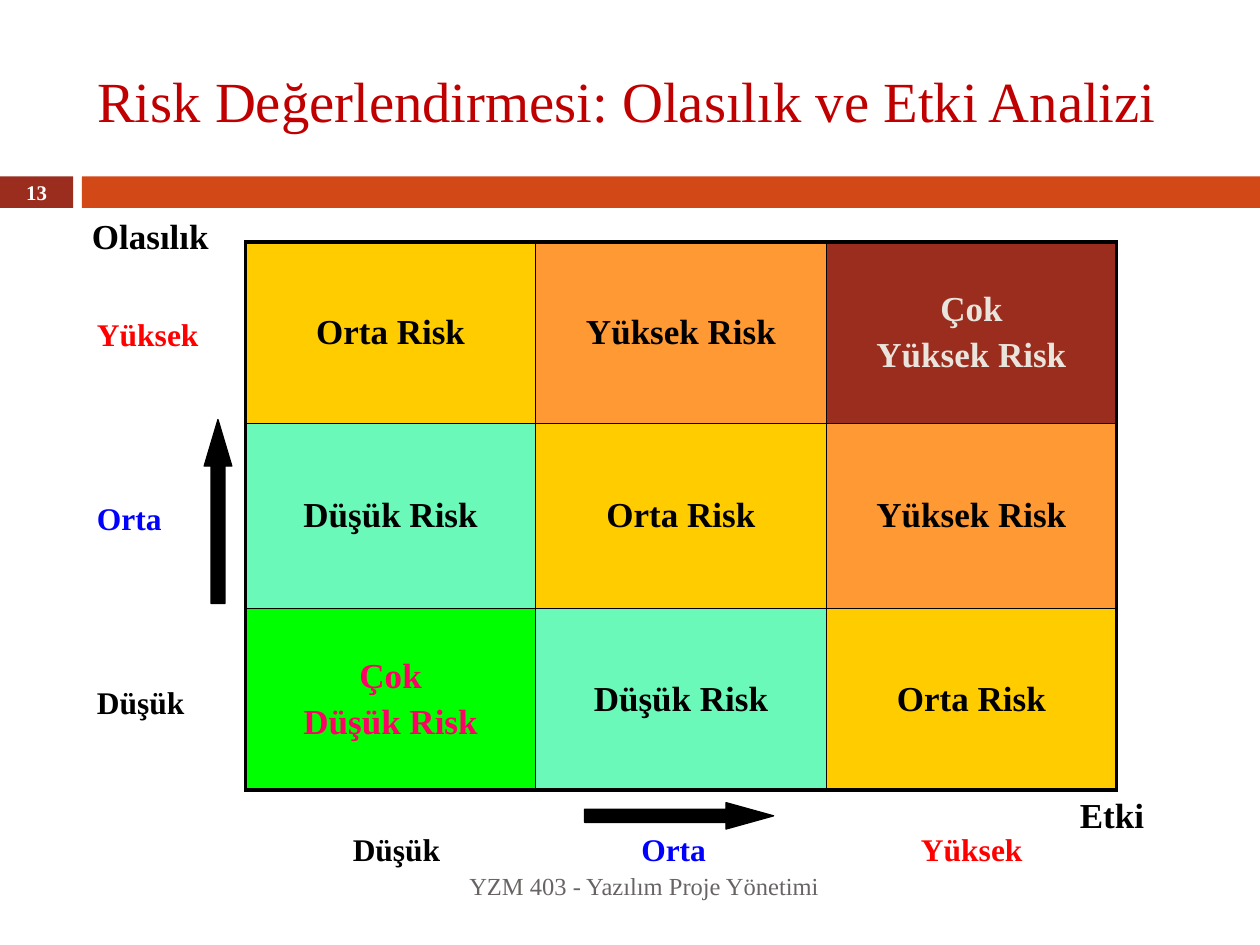
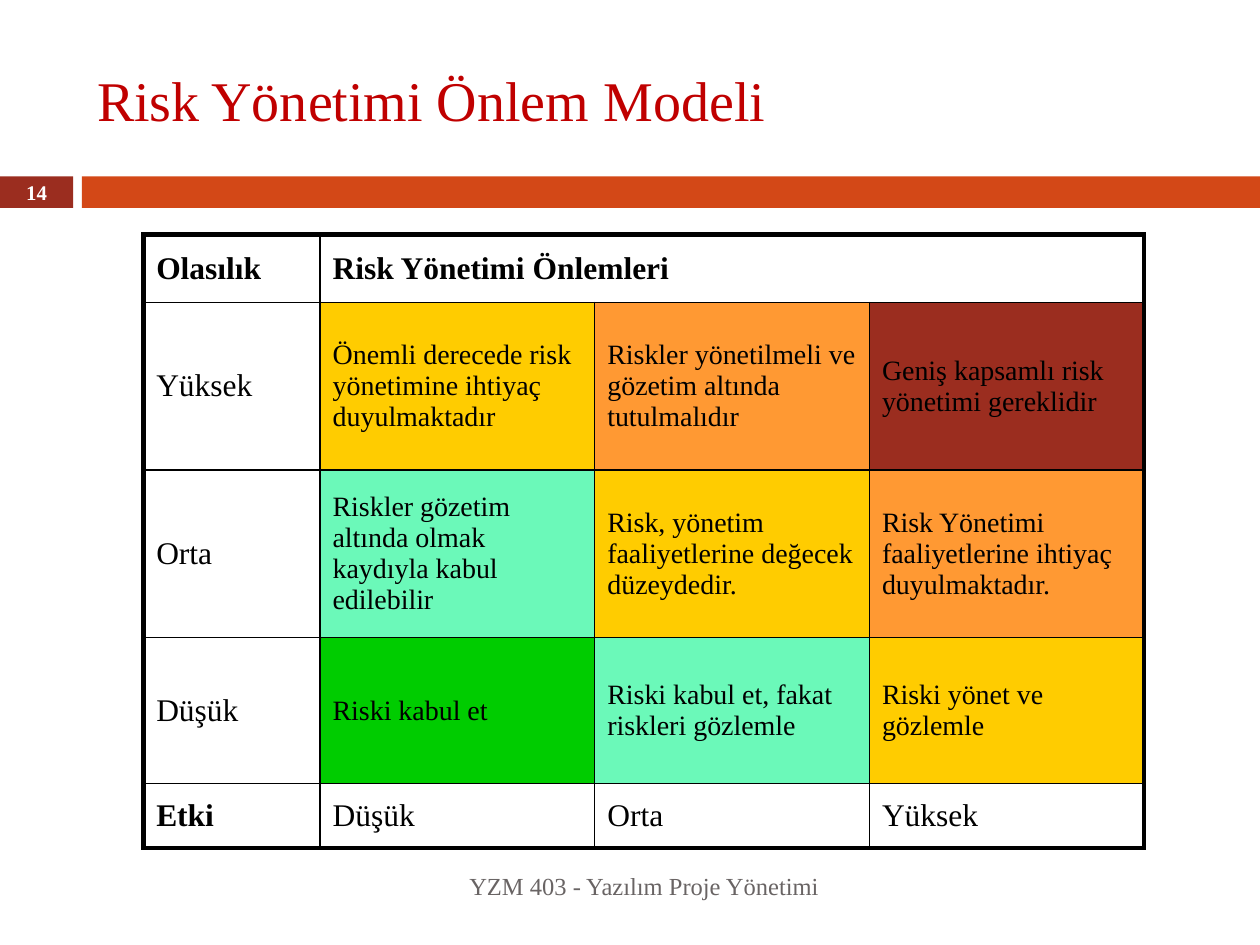
from pptx import Presentation
from pptx.dml.color import RGBColor
from pptx.enum.shapes import MSO_SHAPE as Shape
from pptx.enum.text import MSO_ANCHOR as Anchor, MSO_AUTO_SIZE as Fit, PP_ALIGN as Align
from pptx.oxml.ns import qn
from pptx.util import Inches, Pt
from lxml.etree import SubElement

FONT = "Times New Roman"
COLORS = {
    "title": "C00000", "brick": "9B2D1F", "rust": "D34817", "gray": "696464",
    "black": "000000", "white": "FFFFFF", "red": "FF0000", "blue": "0000FF",
    "gold": "FFCC00", "orange": "FF9933", "mint": "6BF9B9", "lime": "00FF00",
    "green": "00CC00", "cream": "E9E5DC", "pink": "FF0066",
}
SCALE = ["mint", "gold", "orange", "brick"]
LEVELS = [("Yüksek", "red"), ("Orta", "blue"), ("Düşük", "black")]
FOOTER = "YZM 403 - Yazılım Proje Yönetimi"

RISKS = [
    ["Orta Risk", "Yüksek Risk", "Çok\nYüksek Risk"],
    ["Düşük Risk", "Orta Risk", "Yüksek Risk"],
    ["Çok\nDüşük Risk", "Düşük Risk", "Orta Risk"],
]
ACTIONS = [
    ["Önemli derecede risk yönetimine ihtiyaç duyulmaktadır",
     "Riskler yönetilmeli ve gözetim altında tutulmalıdır",
     "Geniş kapsamlı risk yönetimi gereklidir"],
    ["Riskler gözetim altında olmak kaydıyla kabul edilebilir",
     "Risk, yönetim faaliyetlerine değecek düzeydedir.",
     "Risk Yönetimi faaliyetlerine ihtiyaç duyulmaktadır."],
    ["Riski kabul et", "Riski kabul et, fakat riskleri gözlemle",
     "Riski yönet ve gözlemle"],
]


def rgb(name):
    return RGBColor.from_string(COLORS[name])


def write(frame, text, size, color="black", bold=False, align=Align.LEFT, gap=0):
    frame.text = text
    for para in frame.paragraphs:
        para.alignment = align
        para.space_before = Pt(gap)
        font = para.font
        font.name, font.size, font.bold = FONT, Pt(size), bold
        font.color.rgb = rgb(color)


def add_text(slide, box, text, size, color, bold=True, align=Align.LEFT, inset=0.0, anchor=Anchor.TOP):
    frame = slide.shapes.add_textbox(*map(Inches, box)).text_frame
    frame.word_wrap = False
    frame.vertical_anchor = anchor
    frame.margin_left = frame.margin_right = Inches(inset)
    frame.margin_top = frame.margin_bottom = 0
    write(frame, text, size, color, bold, align)


def add_solid(slide, kind, box, color, head=None):
    shape = slide.shapes.add_shape(kind, *map(Inches, box))
    shape.shadow.inherit = False
    shape.fill.solid()
    shape.fill.fore_color.rgb = rgb(color)
    if head:
        shape.adjustments[0], shape.adjustments[1] = 0.5, head
        shape.line.color.rgb = rgb(color)
        shape.line.width = Pt(0.75)
    else:
        shape.line.fill.background()


def add_frame(deck, title, number, size):
    slide = deck.slides.add_slide(deck.slide_layouts[5])
    add_solid(slide, Shape.RECTANGLE, (0, 1.4, 0.58, 0.25), "brick")
    add_solid(slide, Shape.RECTANGLE, (0.65, 1.4, 9.35, 0.25), "rust")
    head = slide.shapes.title
    head.left, head.top, head.width, head.height = map(Inches, (0.67, 0.25, 8.92, 1.08))
    head.text_frame.auto_size = Fit.NONE
    head.text_frame.vertical_anchor = Anchor.MIDDLE
    write(head.text_frame, title, size, "title")
    add_text(slide, (0.67, 6.83, 5.93, 0.4), FOOTER, 14, "gray", False, Align.RIGHT, 0.1, Anchor.MIDDLE)
    add_text(slide, (0, 1.39, 0.58, 0.27), str(number), 11.9, "white", True, Align.CENTER, 0, Anchor.MIDDLE)
    return slide


def add_grid(slide, left, top, cols, rows):
    shape = slide.shapes.add_table(
        len(rows), len(cols), *map(Inches, (left, top, sum(cols), sum(rows))))
    table = shape.table
    table.first_row = table.horz_banding = False
    for col, width in zip(table.columns, cols):
        col.width = Inches(width)
    for row, height in zip(table.rows, rows):
        row.height = Inches(height)
    return table


def set_edges(table, thick):
    high, wide = len(table.rows), len(table.columns)
    for r in range(high):
        for c in range(wide):
            cell = table.cell(r, c)
            if cell.is_spanned:
                continue
            end = c + (cell.span_width if cell.is_merge_origin else 1)
            outer = {"L": c == 0, "R": end == wide, "T": r == 0, "B": r == high - 1}
            props = cell._tc.get_or_add_tcPr()
            for side, edge in outer.items():
                line = SubElement(props, qn(f"a:ln{side}"), w=str(Pt(thick if edge else 1)))
                fill = SubElement(line, qn("a:solidFill"))
                SubElement(fill, qn("a:srgbClr"), val=COLORS["black"])


def fill_cell(cell, text, size, fill=None, **style):
    cell.vertical_anchor = Anchor.MIDDLE
    if fill:
        cell.fill.solid()
        cell.fill.fore_color.rgb = rgb(fill)
    else:
        cell.fill.background()
    write(cell.text_frame, text, size, gap=size * 0.2, **style)


def fill_risks(table, texts, low, size, top=0, left=0, inks=None, **style):
    scale = [low] + SCALE
    for r, row in enumerate(texts):
        for c, text in enumerate(row):
            fill = scale[2 - r + c]
            ink = (inks or {}).get(fill, "black")
            fill_cell(table.cell(top + r, left + c), text, size, fill, color=ink, **style)


def add_matrix(slide, left, top):
    table = add_grid(slide, left, top, [2.3, 2.31, 2.3], [1.44, 1.47, 1.44])
    set_edges(table, 2.25)
    for cell in table.iter_cells():
        cell.margin_left = cell.margin_right = cell.margin_top = cell.margin_bottom = 0
    fill_risks(table, RISKS, "lime", 20, inks={"brick": "cream", "lime": "pink"},
               bold=True, align=Align.CENTER)


def add_axes(slide, left, top):
    add_text(slide, (left - 1.22, top - 0.22, 1.1, 0.34), "Olasılık", 20, "black")
    add_text(slide, (left + 6.62, top + 4.38, 0.8, 0.34), "Etki", 20, "black")
    for i, (name, color) in enumerate(LEVELS):
        add_text(slide, (left - 1.18, top + 0.58 + 1.46 * i, 0.9, 0.3), name, 18, color)
    for x, (name, color) in zip((0.85, 3.14, 5.36), reversed(LEVELS)):
        add_text(slide, (left + x, top + 4.67, 0.9, 0.3), name, 18, color)
    add_solid(slide, Shape.UP_ARROW, (left - 0.33, top + 1.41, 0.22, 1.46), "black", 1.68)
    add_solid(slide, Shape.RIGHT_ARROW, (left + 2.69, top + 4.45, 1.5, 0.21), "black", 1.8)


def add_model(slide, left, top):
    table = add_grid(slide, left, top, [1.4] + [2.18] * 3, [0.54, 1.33, 1.33, 1.16, 0.51])
    table.cell(0, 1).merge(table.cell(0, 3))
    set_edges(table, 3)
    heads = {(0, 0): "Olasılık", (0, 1): "Risk Yönetimi Önlemleri", (4, 0): "Etki"}
    for (r, c), text in heads.items():
        fill_cell(table.cell(r, c), text, 18, bold=True)
    for i, (name, _) in enumerate(LEVELS):
        fill_cell(table.cell(1 + i, 0), name, 18)
        fill_cell(table.cell(4, 3 - i), name, 18)
    fill_risks(table, ACTIONS, "green", 16, top=1, left=1)


def main():
    deck = Presentation()
    deck.slide_width, deck.slide_height = Inches(10), Inches(7.5)
    slide = add_frame(deck, "Risk Değerlendirmesi: Olasılık ve Etki Analizi", 13, 32.4)
    add_matrix(slide, 1.95, 1.92)
    add_axes(slide, 1.95, 1.92)
    slide = add_frame(deck, "Risk Yönetimi Önlem Modeli", 14, 32)
    add_model(slide, 1.14, 1.86)
    deck.save("out.pptx")


if __name__ == "__main__":
    main()
